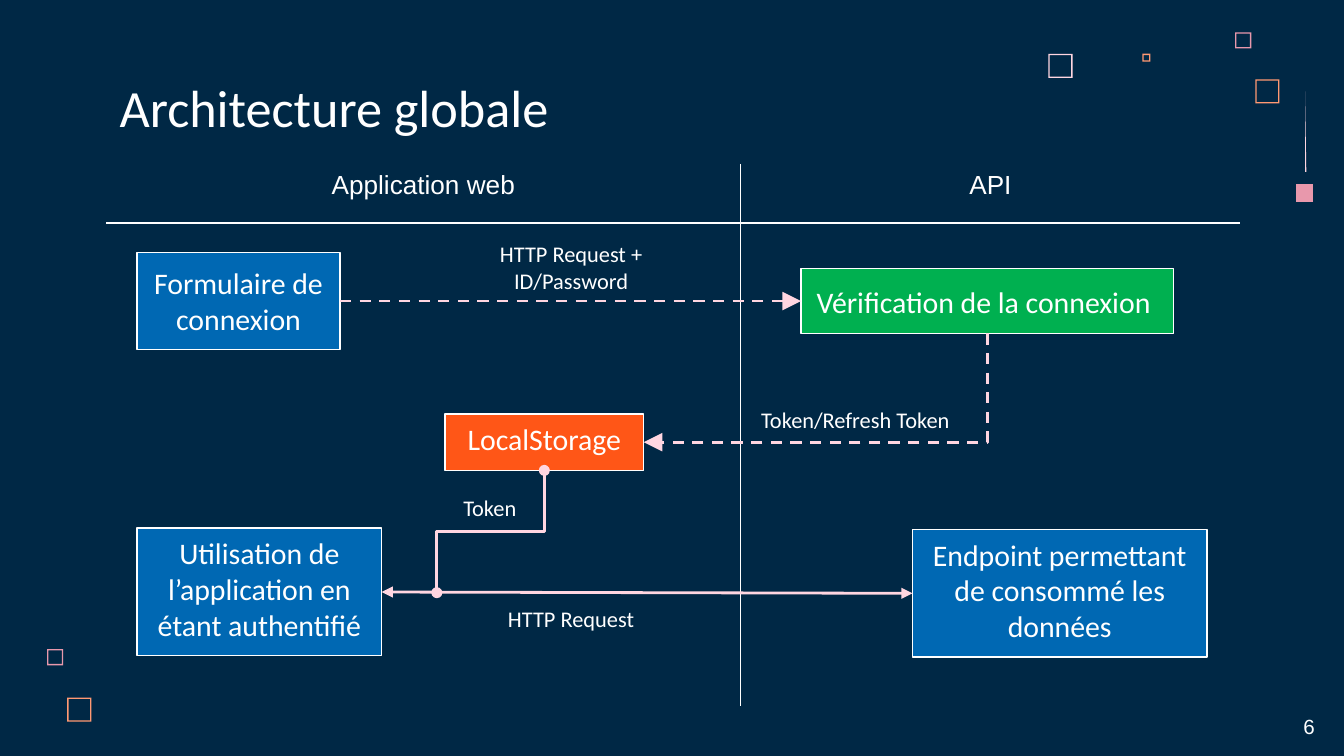
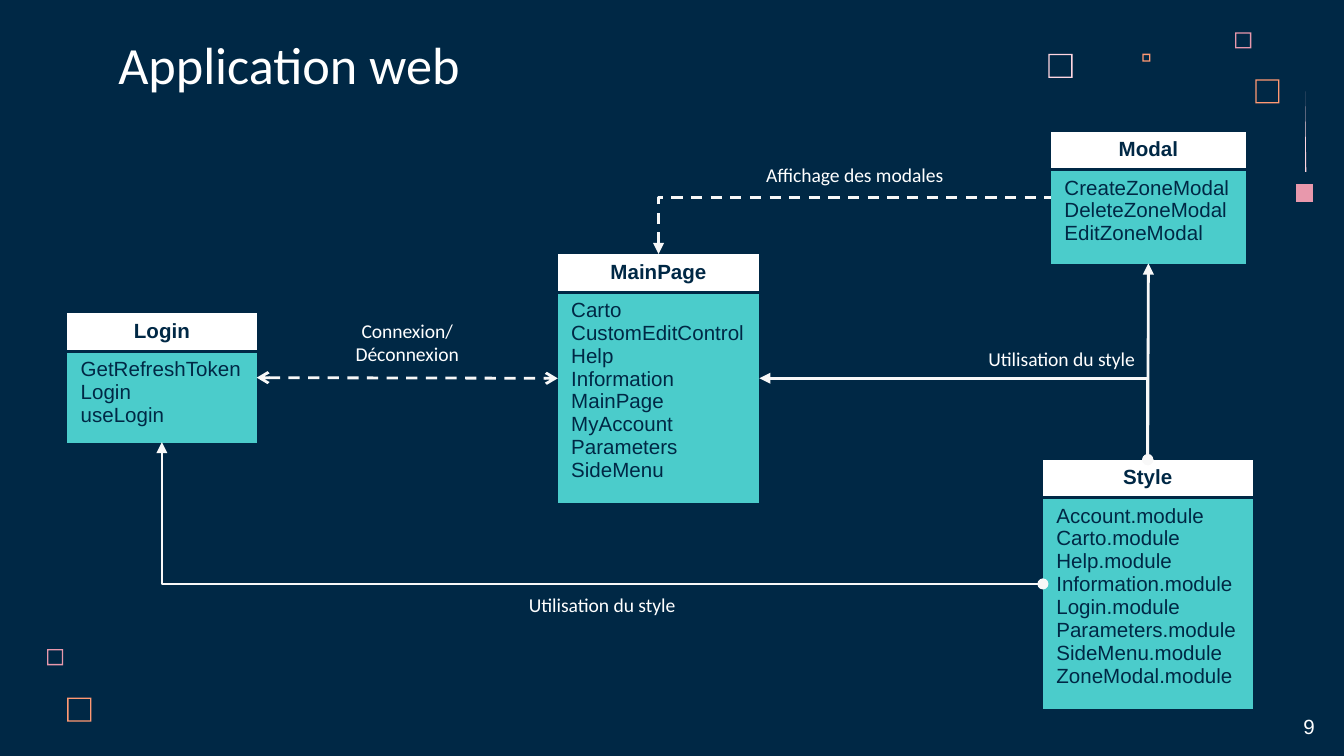
import dataclasses
import typing

import lxml.etree
import pptx
import pptx.dml.color
import pptx.enum.dml
import pptx.enum.shapes
import pptx.enum.text
import pptx.oxml.ns
import pptx.util

ALIGN = pptx.enum.text.PP_ALIGN
ANCHOR = pptx.enum.text.MSO_ANCHOR
SLIDE_WIDTH = pptx.util.Inches(10)
SLIDE_HEIGHT = SLIDE_WIDTH * 9 // 16
GRID_COLUMNS = 100
CELL = SLIDE_WIDTH // GRID_COLUMNS
TOP, LEFT, BOTTOM, RIGHT = range(4)
HEADINGS = {TOP: (0, -1, 270), LEFT: (-1, 0, 180), BOTTOM: (0, 1, 90), RIGHT: (1, 0, 0)}


@dataclasses.dataclass(frozen=True)
class Theme:
    background: str = "002845"
    white: str = "FFFFFF"
    blush: str = "FFD6E1"
    rose: str = "E898AC"
    orange: str = "FF9973"
    blue: str = "0068B3"
    green: str = "00B050"
    storage: str = "FF5617"
    teal: str = "4BCCCB"
    pale: str = "F8F8F8"
    heading_font: str = "Calibri"
    body_font: str = "Arial"
    title_size: float = 28
    box_size: float = 16
    column_size: float = 14
    label_size: float = 12
    small_size: float = 11
    caption_size: float = 10.5
    link_width: float = 1.5


THEME = Theme()


class Area(typing.NamedTuple):
    column: float
    row: float
    columns: float
    rows: float


class Point(typing.NamedTuple):
    column: float
    row: float


class Style(typing.NamedTuple):
    size: float
    font: str = THEME.heading_font
    color: str = THEME.white
    bold: bool = False


class Box(typing.NamedTuple):
    text: str
    area: Area
    fill: str


class Label(typing.NamedTuple):
    text: str
    area: Area


class Module(typing.NamedTuple):
    name: str
    area: Area
    header_rows: float
    body_rows: float
    members: str


class Tip(typing.NamedTuple):
    kind: str
    size: str = "med"


class Link(typing.NamedTuple):
    source: str
    source_side: int
    target: typing.Union[str, Point]
    target_side: typing.Optional[int]
    head: typing.Optional[Tip] = None
    tail: typing.Optional[Tip] = None
    dashed: bool = False


TRIANGLE, LARGE, OVAL, ARROW = Tip("triangle"), Tip("triangle", "lg"), Tip("oval"), Tip("arrow")

SQUARES = [
    (Area(78, 4, 1.8, 1.8), THEME.blush),
    (Area(91.9, 2.4, 1.2, 1.2), THEME.rose),
    (Area(85, 4, 0.6, 0.6), THEME.orange),
    (Area(93.4, 5.9, 1.8, 1.8), THEME.orange),
    (Area(3.5, 48.3, 1.2, 1.2), THEME.rose),
    (Area(5, 51.9, 1.8, 1.8), THEME.orange),
]
BOXES = [
    Box("Formulaire de connexion", Area(10.2, 18.8, 15.1, 7.2), THEME.blue),
    Box("Vérification de la connexion ", Area(59.6, 20, 27.7, 4.8), THEME.green),
    Box("LocalStorage", Area(33.1, 30.8, 14.8, 4.2), THEME.storage),
    Box("Utilisation de l’application en étant authentifié", Area(10.2, 39.3, 18.2, 9.5), THEME.blue),
    Box("Endpoint permettant de consommé les données", Area(67.9, 39.4, 21.9, 9.5), THEME.blue),
]
FORM, CHECK, STORAGE, USE, ENDPOINT = (box.text for box in BOXES)
ARCHITECTURE_LABELS = [
    Label("HTTP Request + ID/Password", Area(36.1, 17.6, 12.8, 5.3)),
    Label("Token/Refresh Token", Area(55.6, 29, 16.1, 4.2)),
    Label("HTTP Request", Area(36.2, 44.4, 12.6, 3.6)),
    Label("Token", Area(33.3, 36.2, 6.3, 3.6)),
]
ARCHITECTURE_LINKS = [
    Link(FORM, RIGHT, CHECK, LEFT, tail=LARGE, dashed=True),
    Link(CHECK, BOTTOM, STORAGE, RIGHT, tail=LARGE, dashed=True),
    Link(STORAGE, BOTTOM, Point(32.5, 44.1), None, OVAL, OVAL),
    Link(ENDPOINT, LEFT, USE, RIGHT, TRIANGLE, TRIANGLE),
]
MODULES = [
    Module("Login", Area(5, 23.3, 14.1, 9.6), 2.6, 6.8, "GetRefreshToken Login useLogin"),
    Module("MainPage", Area(41.5, 18.9, 15, 18.5), 2.5, 8.3,
           "Carto CustomEditControl Help Information MainPage MyAccount Parameters SideMenu"),
    Module("Modal", Area(78.2, 9.8, 14.5, 9.8), 2.4, 7, "CreateZoneModal DeleteZoneModal EditZoneModal"),
    Module("Style", Area(77.6, 34.2, 15.6, 18.5), 2.5, 8.3,
           "Account.module Carto.module Help.module Information.module "
           "Login.module Parameters.module SideMenu.module ZoneModal.module"),
]
MODULE_LABELS = [
    Label("Connexion/Déconnexion", Area(22.4, 24.8, 15.8, 3.4)),
    Label("Utilisation du style", Area(36.9, 43.5, 15.8, 3.4)),
    Label("Utilisation du style", Area(71.1, 25.2, 15.8, 3.4)),
    Label("Affichage des modales", Area(55.7, 11.5, 15.8, 3.4)),
]
MODULE_LINKS = [
    Link("Login", RIGHT, "MainPage", LEFT, ARROW, ARROW, True),
    Link("Style", LEFT, "Login", BOTTOM, OVAL, TRIANGLE),
    Link("Style", TOP, "Modal", BOTTOM, OVAL, TRIANGLE),
    Link("Style", TOP, "MainPage", RIGHT, OVAL, TRIANGLE),
    Link("MainPage", TOP, "Modal", LEFT, TRIANGLE, None, True),
]


def grid(*lengths: float) -> list[int]:
    return [round(length * CELL) for length in lengths]


def rgb(color: str) -> pptx.dml.color.RGBColor:
    return pptx.dml.color.RGBColor.from_string(color)


def paint(shape, color: str) -> None:
    shape.fill.solid()
    shape.fill.fore_color.rgb = rgb(color)


def write(frame, lines: list[str], style: Style, align=ALIGN.LEFT) -> None:
    for index, line in enumerate(lines):
        paragraph = frame.add_paragraph() if index else frame.paragraphs[0]
        paragraph.alignment = align
        run = paragraph.add_run()
        run.text = line
        run.font.size = pptx.util.Pt(style.size)
        run.font.name = style.font
        run.font.bold = style.bold
        run.font.color.rgb = rgb(style.color)


def pad(frame, anchor) -> None:
    frame.word_wrap = True
    frame.auto_size = pptx.enum.text.MSO_AUTO_SIZE.NONE
    frame.vertical_anchor = anchor
    frame.margin_left, frame.margin_right, frame.margin_top, frame.margin_bottom = grid(1, 1, 1, 1)


def draw_outline(slide, contours: list[list[tuple[float, float]]], color: str) -> None:
    builder = None
    for contour in contours:
        points = [tuple(grid(*point)) for point in contour]
        if builder is None:
            builder = slide.shapes.build_freeform(*points[0])
        else:
            builder.move_to(*points[0])
        builder.add_line_segments(points[1:], close=True)
    shape = builder.convert_to_shape()
    shape.shadow.inherit = False
    paint(shape, color)
    shape.line.fill.background()


def corners(area: Area, inset: float = 0) -> list[tuple[float, float]]:
    left, top = area.column + inset, area.row + inset
    right, bottom = area.column + area.columns - inset, area.row + area.rows - inset
    return [(left, top), (right, top), (right, bottom), (left, bottom)]


def add_slide(presentation, title: str, area: Area, number: int):
    slide = presentation.slides.add_slide(presentation.slide_layouts[5])
    for square, color in SQUARES:
        draw_outline(slide, [corners(square, 0.1)[::-1], corners(square)], color)
    draw_outline(slide, [corners(Area(96.4, 13.7, 1.3, 1.3))], THEME.rose)
    draw_outline(slide, [[(97.1, 6.8), (97.1, 12.8), (97.2, 12.8)]], THEME.blush)
    placeholder = slide.shapes.title
    placeholder.left, placeholder.top, placeholder.width, placeholder.height = grid(*area)
    pad(placeholder.text_frame, ANCHOR.TOP)
    write(placeholder.text_frame, [title], Style(THEME.title_size))
    page = slide.shapes.add_textbox(*grid(96, 52.6, 4, 2.9))
    page.text_frame.word_wrap = True
    write(page.text_frame, [str(number)], Style(THEME.small_size, THEME.body_font))
    return slide


def draw_box(slide, box: Box):
    shape = slide.shapes.add_shape(pptx.enum.shapes.MSO_SHAPE.RECTANGLE, *grid(*box.area))
    shape.shadow.inherit = False
    paint(shape, box.fill)
    shape.line.color.rgb = rgb(THEME.white)
    shape.line.width = pptx.util.Pt(0.75)
    pad(shape.text_frame, ANCHOR.BOTTOM)
    write(shape.text_frame, [box.text], Style(THEME.box_size), ALIGN.CENTER)
    return shape


def draw_label(slide, label: Label, size: float) -> None:
    shape = slide.shapes.add_textbox(*grid(*label.area))
    pad(shape.text_frame, ANCHOR.BOTTOM)
    write(shape.text_frame, [label.text], Style(size), ALIGN.CENTER)


def add_plain_table(slide, area: Area, columns: list[float], rows: list[float]):
    frame = slide.shapes.add_table(len(rows), len(columns), *grid(*area))
    table = frame.table
    table.first_row = table.horz_banding = False
    style = frame._element.find(".//" + pptx.oxml.ns.qn("a:tableStyleId"))
    style.text = "{2D5ABB26-0587-4C30-8999-92F81FD0307C}"
    for column, width in zip(table.columns, grid(*columns)):
        column.width = width
    for row, height in zip(table.rows, grid(*rows)):
        row.height = height
    frame.height = grid(area.rows)[0]
    return frame


def draw_borders(cell, sides: str, color: str, width: float) -> None:
    properties = cell._tc.get_or_add_tcPr()
    for index, side in enumerate(sides):
        line = lxml.etree.Element(pptx.oxml.ns.qn("a:ln" + side), w=str(pptx.util.Pt(width)))
        fill = lxml.etree.SubElement(line, pptx.oxml.ns.qn("a:solidFill"))
        lxml.etree.SubElement(fill, pptx.oxml.ns.qn("a:srgbClr"), val=color)
        properties.insert(index, line)


def draw_zones(slide) -> None:
    table = add_plain_table(slide, Area(7.9, 12.2, 84.4, 40.3), [47.2, 37.2], [4.4, 35.9]).table
    for cell, sides in zip(table.iter_cells(), ("RB", "LB", "RT", "LT")):
        cell.fill.background()
        draw_borders(cell, sides, THEME.white, 1)
    for column, name in enumerate(("Application web", "API")):
        write(table.cell(0, column).text_frame, [name], Style(THEME.column_size, THEME.body_font), ALIGN.CENTER)


def draw_module(slide, module: Module):
    frame = add_plain_table(slide, module.area, [module.area.columns], [module.header_rows, module.body_rows])
    header, body = frame.table.iter_cells()
    paint(header, THEME.white)
    paint(body, THEME.teal)
    draw_borders(header, "B", THEME.background, 2)
    draw_borders(body, "T", THEME.background, 2)
    style = Style(THEME.small_size, THEME.body_font, THEME.background)
    write(header.text_frame, [module.name], style._replace(bold=True), ALIGN.CENTER)
    write(body.text_frame, module.members.split(), style)
    return frame


def side_point(shape, side: int) -> tuple[int, int]:
    across, down, _ = HEADINGS[side]
    return shape.left + shape.width * (1 + across) // 2, shape.top + shape.height * (1 + down) // 2


def bend(connector, link: Link, start: tuple[int, int], end: tuple[int, int]) -> None:
    across, down, angle = HEADINGS[link.source_side]
    delta_x, delta_y = end[0] - start[0], end[1] - start[1]
    sideways = delta_y * across - delta_x * down
    width, height = abs(delta_x * across + delta_y * down), abs(sideways)
    connector.left = (start[0] + end[0] - width) // 2
    connector.top = (start[1] + end[1] - height) // 2
    connector.width, connector.height = width, height
    properties = connector._element.spPr
    transform = properties.find(pptx.oxml.ns.qn("a:xfrm"))
    for name, value in (("rot", angle * 60000), ("flipH", 0), ("flipV", int(sideways < 0))):
        transform.set(name, str(value))
    corner = link.target_side is not None and (link.source_side - link.target_side) % 2 == 1
    properties.find(pptx.oxml.ns.qn("a:prstGeom")).set("prst", "bentConnector2" if corner else "bentConnector3")


def draw_link(slide, link: Link, shapes: dict, color: str) -> None:
    source, target = shapes[link.source], shapes.get(link.target)
    start = side_point(source, link.source_side)
    end = side_point(target, link.target_side) if target else tuple(grid(*link.target))
    straight = min(abs(end[0] - start[0]), abs(end[1] - start[1])) < CELL // 3
    kinds = pptx.enum.shapes.MSO_CONNECTOR
    connector = slide.shapes.add_connector(kinds.STRAIGHT if straight else kinds.ELBOW, *start, *end)
    connector.begin_connect(source, link.source_side)
    if target:
        connector.end_connect(target, link.target_side)
    if not straight:
        bend(connector, link, start, end)
    connector.line.color.rgb = rgb(color)
    connector.line.width = pptx.util.Pt(THEME.link_width)
    if link.dashed:
        connector.line.dash_style = pptx.enum.dml.MSO_LINE.DASH
    properties = connector._element.spPr
    line = properties.find(pptx.oxml.ns.qn("a:ln"))
    for name, tip in (("a:headEnd", link.head), ("a:tailEnd", link.tail)):
        if tip:
            lxml.etree.SubElement(line, pptx.oxml.ns.qn(name), type=tip.kind, w=tip.size, len=tip.size)
    lxml.etree.SubElement(properties, pptx.oxml.ns.qn("a:effectLst"))


def annotate(slide, shapes: dict, links: list[Link], color: str, labels: list[Label], size: float) -> None:
    for link in links:
        draw_link(slide, link, shapes, color)
    for label in labels:
        draw_label(slide, label, size)


def main() -> None:
    presentation = pptx.Presentation()
    presentation.slide_width, presentation.slide_height = SLIDE_WIDTH, SLIDE_HEIGHT
    paint(presentation.slide_master.background, THEME.background)

    slide = add_slide(presentation, "Architecture globale", Area(7.9, 4.6, 84.3, 6.3), 6)
    draw_zones(slide)
    boxes = {box.text: draw_box(slide, box) for box in BOXES}
    annotate(slide, boxes, ARCHITECTURE_LINKS, THEME.blush, ARCHITECTURE_LABELS, THEME.label_size)

    slide = add_slide(presentation, "Application web", Area(7.8, 1.4, 84.3, 6.3), 9)
    modules = {module.name: draw_module(slide, module) for module in MODULES}
    annotate(slide, modules, MODULE_LINKS, THEME.pale, MODULE_LABELS, THEME.caption_size)

    presentation.save("out.pptx")


if __name__ == "__main__":
    main()
